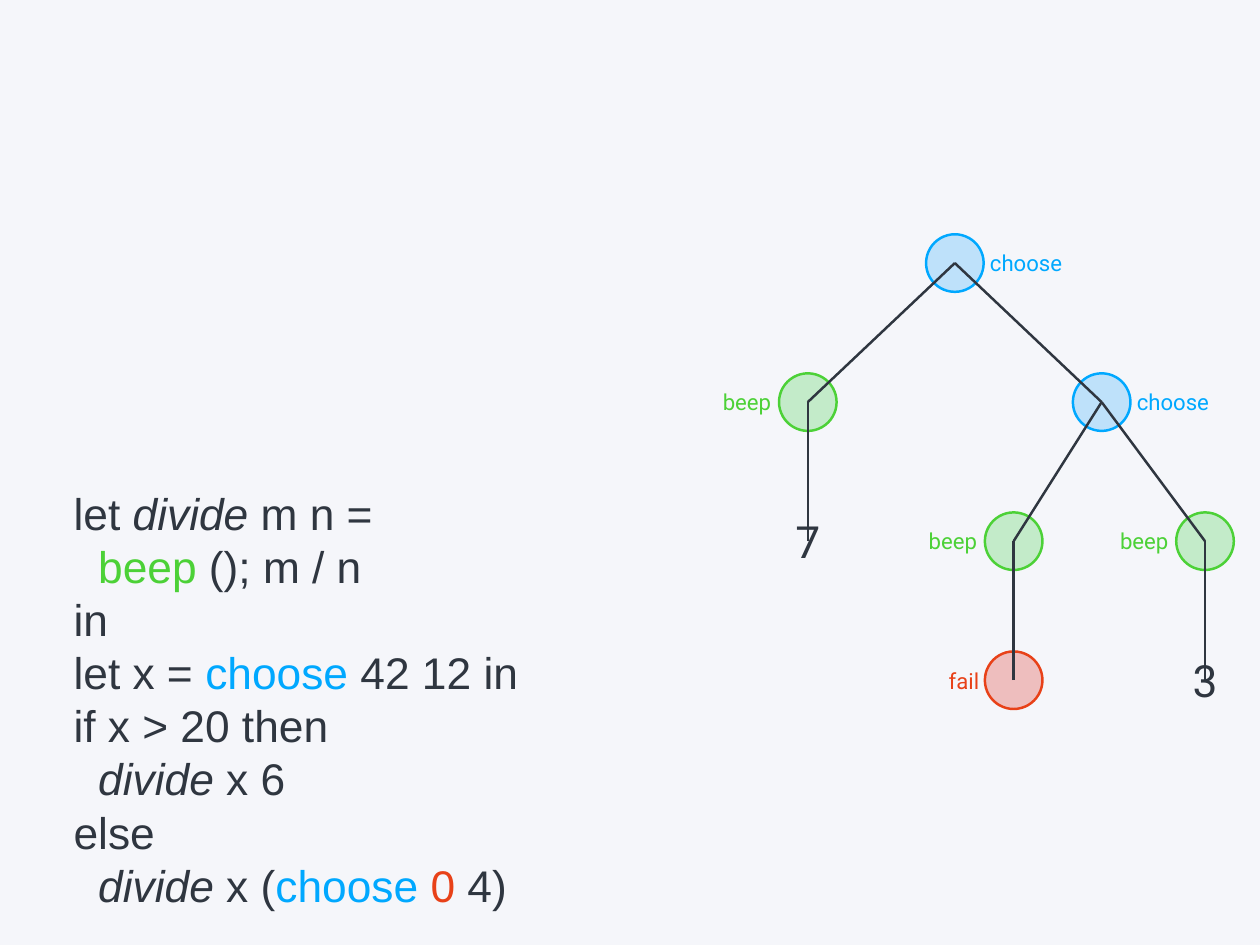
from dataclasses import dataclass

from lxml import etree
from pptx import Presentation
from pptx.dml.color import RGBColor
from pptx.enum import shapes, text
from pptx.oxml import ns
from pptx.util import Pt


@dataclass(frozen=True)
class Theme:
    """Colours, fonts and sizes of the slide."""
    back: str = "F5F6FA"
    ink: str = "2F3640"
    blue: str = "00A8FF"
    green: str = "4CD137"
    red: str = "E84118"
    sky: str = "BEE1FA"
    mint: str = "C3EBC9"
    rose: str = "EEBEBE"
    code: str = "Arial"
    font: str = "Roboto"
    big: int = 36
    small: int = 18
    line: float = 2
    inset: float = 4.3
    pitch: float = 43.2


T = Theme()
SIZE = 46.8
TOP, STEP = 213.8, 113

KINDS = {
    "choose": (T.blue, T.sky, 69, 1),
    "beep": (T.green, T.mint, 52, -1),
    "fail": (T.red, T.rose, 34, -1),
}

NODES = {
    "root": ("choose", 776, 0),
    "left": ("beep", 656.5, 1),
    "right": ("choose", 895.3, 1),
    "zero": ("beep", 823.8, 2),
    "four": ("beep", 979.3, 2),
    "error": ("fail", 823.8, 3),
    "seven": ("7", 656.5, 2),
    "three": ("3", 979.3, 3),
}

EDGES = [
    ("seven", "left"), ("left", "root"), ("right", "root"),
    ("zero", "right"), ("four", "right"), ("error", "zero"), ("three", "four"),
]

DIVIDE = ("divide", T.ink, True)
BEEP = ("beep", T.green, False)
CHOOSE = ("choose ", T.blue, False)
ZERO = ("0", T.red, False)

CODE = [
    ["let ", DIVIDE, " m n ="],
    ["  ", BEEP, " (); m / n"],
    ["in"],
    ["let x = ", CHOOSE, "42 12 in"],
    ["if x > 20 then"],
    ["  ", DIVIDE, " x 6"],
    ["else"],
    ["  ", DIVIDE, " x (", CHOOSE, ZERO, " 4)"],
]


def color(code):
    """Turn a hex code into a colour."""
    return RGBColor.from_string(code)


def style(run, font, size, hue, slant=False):
    """Format one run."""
    run.font.name = font
    run.font.size = Pt(size)
    run.font.italic = slant
    run.font.color.rgb = color(hue)


def add_box(slide, left, top, width, height, wrap):
    """Add a text box anchored in the middle and return its frame."""
    box = slide.shapes.add_textbox(Pt(left), Pt(top), Pt(width), Pt(height))
    frame = box.text_frame
    frame.word_wrap = wrap
    frame.vertical_anchor = text.MSO_ANCHOR.MIDDLE
    frame.margin_left = frame.margin_right = Pt(T.inset)
    frame.margin_top = frame.margin_bottom = Pt(T.inset)
    return frame


def add_label(slide, words, x, y, width, height, size, hue):
    """Add a label centred on a point."""
    frame = add_box(slide, x - width / 2, y - height / 2, width, height, False)
    frame.text = words
    para = frame.paragraphs[0]
    para.alignment = text.PP_ALIGN.CENTER
    style(para.runs[0], T.font, size, hue)


def add_code(slide):
    """Add the program listing."""
    frame = add_box(slide, 55.5, 388.8, 441.4, 357.8, True)
    for i, parts in enumerate(CODE):
        para = frame.add_paragraph() if i else frame.paragraphs[0]
        para.line_spacing = Pt(T.pitch)
        for part in parts:
            words, hue, slant = (part, T.ink, False) if isinstance(part, str) else part
            run = para.add_run()
            run.text = words
            style(run, T.code, T.big, hue, slant)


def point(name):
    """Give the centre of a node."""
    _, x, row = NODES[name]
    return x, TOP + row * STEP


def add_node(slide, name):
    """Add a circle for an effect, or a number for a result."""
    kind = NODES[name][0]
    x, y = point(name)
    if kind not in KINDS:
        add_label(slide, kind, x, y, 29, 55, T.big, T.ink)
        return
    hue, fill, _, _ = KINDS[kind]
    disc = slide.shapes.add_shape(
        shapes.MSO_SHAPE.OVAL, Pt(x - SIZE / 2), Pt(y - SIZE / 2), Pt(SIZE), Pt(SIZE))
    disc.shadow.inherit = False
    disc.fill.solid()
    disc.fill.fore_color.rgb = color(fill)
    disc.line.color.rgb = color(hue)
    disc.line.width = Pt(T.line)


def add_edge(slide, child, parent):
    """Join the centres of two nodes."""
    ends = [Pt(v) for v in point(child) + point(parent)]
    edge = slide.shapes.add_connector(shapes.MSO_CONNECTOR.STRAIGHT, *ends)
    edge.line.color.rgb = color(T.ink)
    edge.line.width = Pt(T.line)
    etree.SubElement(edge.element.spPr, ns.qn("a:effectLst"))


def add_tag(slide, name):
    """Name the effect beside its circle."""
    kind = NODES[name][0]
    if kind in KINDS:
        x, y = point(name)
        hue, _, width, side = KINDS[kind]
        mid = x + side * (SIZE + width) / 2
        add_label(slide, kind, mid, y, width, 31, T.small, hue)


def main():
    """Build the slide and save it."""
    deck = Presentation()
    deck.slide_width, deck.slide_height = Pt(1024), Pt(768)
    slide = deck.slides.add_slide(deck.slide_layouts[6])
    slide.background.fill.solid()
    slide.background.fill.fore_color.rgb = color(T.back)
    add_code(slide)
    for name in NODES:
        add_node(slide, name)
    for child, parent in EDGES:
        add_edge(slide, child, parent)
    for name in NODES:
        add_tag(slide, name)
    deck.save("out.pptx")


if __name__ == "__main__":
    main()
